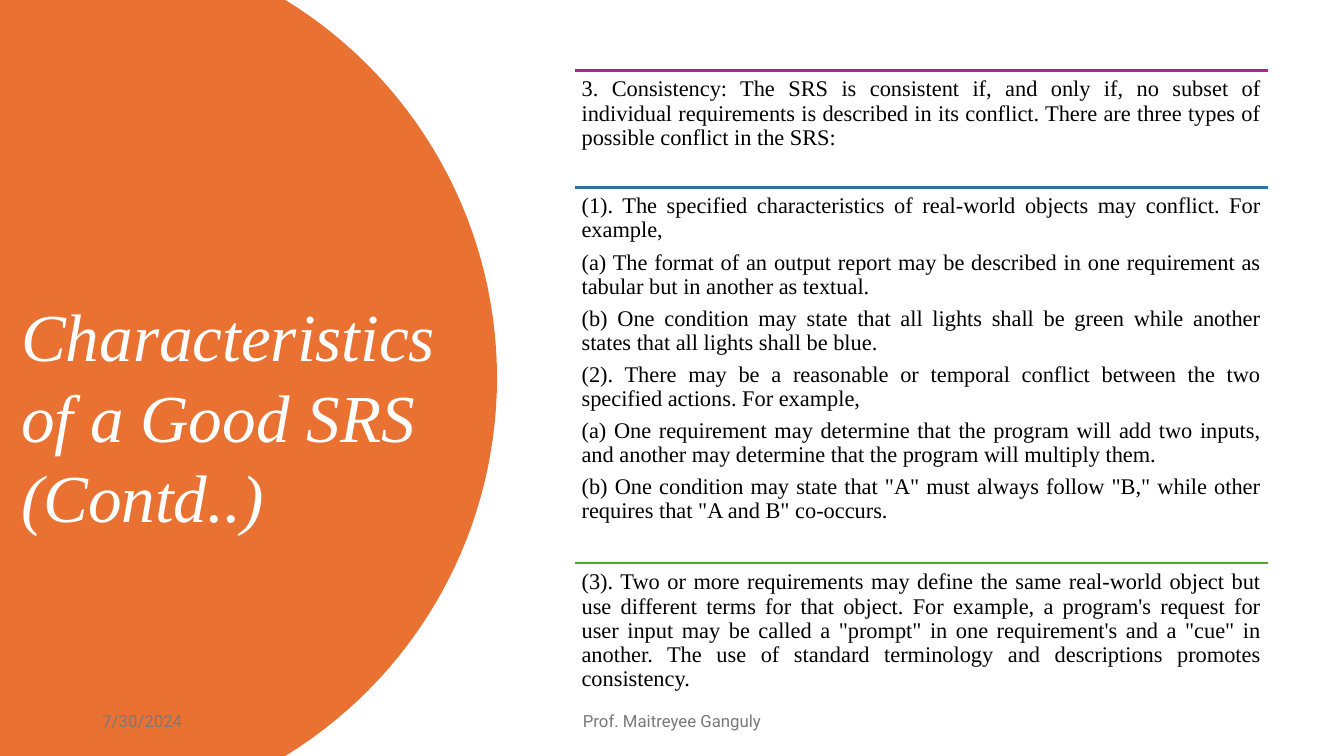
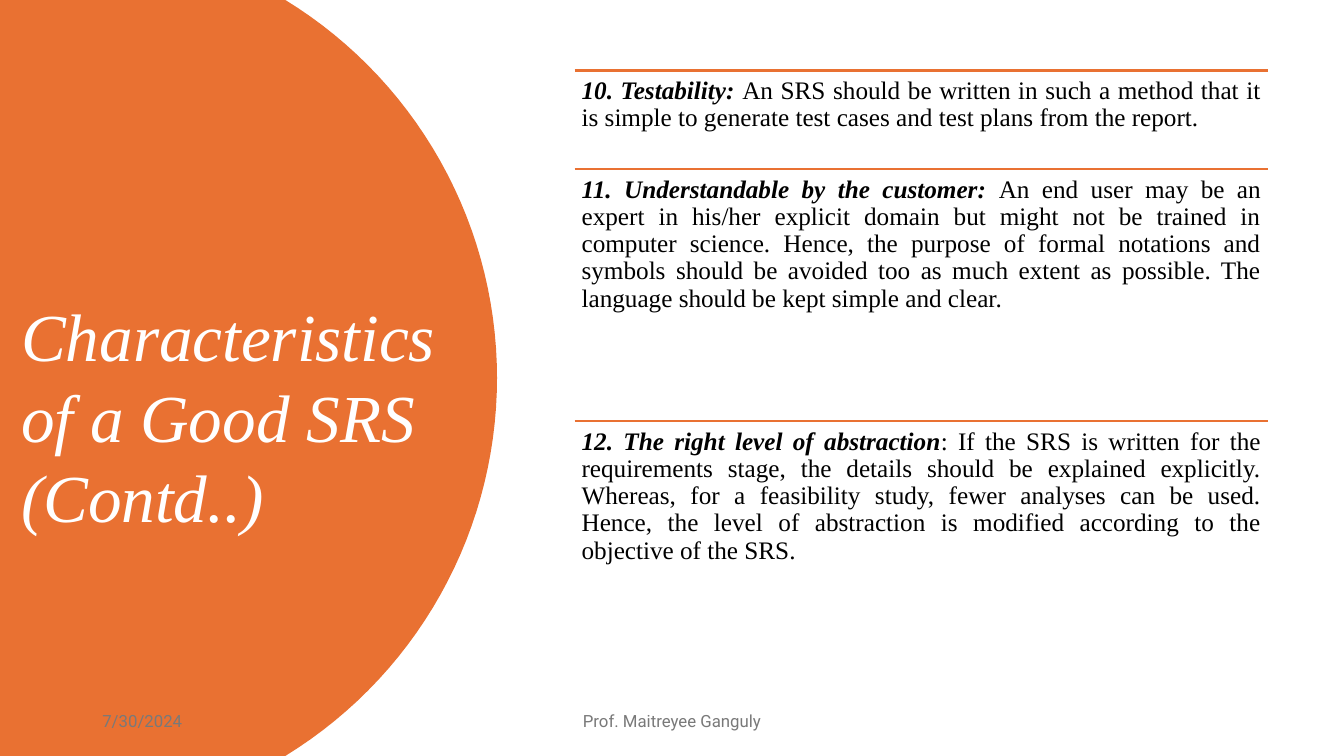
from math import asin, cos, sin

from lxml.etree import SubElement
from pptx import Presentation
from pptx.dml.color import RGBColor
from pptx.enum.shapes import MSO_CONNECTOR
from pptx.enum.text import MSO_ANCHOR, PP_ALIGN
from pptx.oxml.ns import qn
from pptx.util import Inches, Pt

# Shared look
WIDTH, HEIGHT = Inches(13.33), Inches(7.5)
ORANGE = RGBColor(0xE9, 0x71, 0x32)
PURPLE = RGBColor(0xA0, 0x2B, 0x93)
BLUE = RGBColor(0x2C, 0x71, 0xA4)
GREEN = RGBColor(0x4E, 0xA7, 0x2E)
BLACK = RGBColor(0, 0, 0)
WHITE = RGBColor(255, 255, 255)
GREY = RGBColor(0x79, 0x79, 0x79)
SERIF, SANS = "Times New Roman", "Roboto"

# Shares of the slide, in percent
SECTION_LEFT, SECTION_WIDTH, SECTIONS_TOP = 42.75, 51.6, 9.33
TITLE_AREA = (0.83, 38.27, 33.45, 37.73)
DATE_AREA = (6.88, 92.67, 22.5, 5.33)
FOOTER_AREA = (33.13, 92.67, 33.75, 5.33)

TITLE = ["Characteristics of a Good SRS", "(Contd..)"]
DATE, FOOTER = "7/30/2024", "Prof. Maitreyee Ganguly"

# Sections: rule colour, height in percent, paragraphs of (bold lead, text)
CONSISTENCY = [
    (PURPLE, 15.47, [
        ("", "3. Consistency: The SRS is consistent if, and only if, no subset of "
             "individual requirements is described in its conflict. There are three "
             "types of possible conflict in the SRS:")]),
    (BLUE, 49.73, [
        ("", "(1). The specified characteristics of real-world objects may conflict. "
             "For example,"),
        ("", "(a) The format of an output report may be described in one requirement "
             "as tabular but in another as textual."),
        ("", "(b) One condition may state that all lights shall be green while "
             "another states that all lights shall be blue."),
        ("", "(2). There may be a reasonable or temporal conflict between the two "
             "specified actions. For example,"),
        ("", "(a) One requirement may determine that the program will add two inputs, "
             "and another may determine that the program will multiply them."),
        ("", '(b) One condition may state that "A" must always follow "B," while '
             'other requires that "A and B" co-occurs.')]),
    (GREEN, 15.47, [
        ("", "(3). Two or more requirements may define the same real-world object but "
             "use different terms for that object. For example, a program's request "
             'for user input may be called a "prompt" in one requirement\'s and a '
             '"cue" in another. The use of standard terminology and descriptions '
             "promotes consistency.")]),
]
QUALITIES = [
    (ORANGE, 13.07, [
        ("10. Testability: ",
         "An SRS should be written in such a method that it is simple to generate "
         "test cases and test plans from the report.")]),
    (ORANGE, 33.33, [
        ("11. Understandable by the customer: ",
         "An end user may be an expert in his/her explicit domain but might not be "
         "trained in computer science. Hence, the purpose of formal notations and "
         "symbols should be avoided too as much extent as possible. The language "
         "should be kept simple and clear.")]),
    (ORANGE, 26.13, [
        ("12. The right level of abstraction",
         ": If the SRS is written for the requirements stage, the details should be "
         "explained explicitly. Whereas, for a feasibility study, fewer analyses can "
         "be used. Hence, the level of abstraction is modified according to the "
         "objective of the SRS.")]),
]


def across(percent):
    return round(WIDTH * percent / 100)


def down(percent):
    return round(HEIGHT * percent / 100)


def add_frame(slide, area, inset=None, anchor=MSO_ANCHOR.TOP):
    left, top, width, height = area
    frame = slide.shapes.add_textbox(
        across(left), down(top), across(width), down(height)).text_frame
    frame.word_wrap = True
    frame.vertical_anchor = anchor
    if inset is not None:
        frame.margin_left = frame.margin_right = inset
        frame.margin_top = frame.margin_bottom = inset
    return frame


def next_paragraph(frame, index, align=PP_ALIGN.LEFT):
    paragraph = frame.add_paragraph() if index else frame.paragraphs[0]
    paragraph.alignment = align
    return paragraph


def add_run(paragraph, text, size, color, face=SERIF, bold=False, italic=False):
    run = paragraph.add_run()
    run.text = text
    font = run.font
    font.name, font.size, font.bold, font.italic = face, Pt(size), bold, italic
    font.color.rgb = color


def add_title_disc(slide):
    """Part of a circle that runs off the left, top and bottom edges."""
    right_edge, chord_edge, half = Inches(4.93), Inches(2.83), HEIGHT / 2
    depth = right_edge - chord_edge
    radius = (depth ** 2 + half ** 2) / (2 * depth)
    sweep, steps = asin(half / radius), 60
    angles = [sweep * (2 * step / steps - 1) for step in range(steps + 1)]
    arc = [(round(right_edge - radius + radius * cos(angle)),
            round(half + radius * sin(angle))) for angle in angles]
    outline = slide.shapes.build_freeform(0, 0)
    outline.add_line_segments(arc + [(0, HEIGHT)], close=True)
    disc = outline.convert_to_shape()
    disc.shadow.inherit = False
    disc.fill.solid()
    disc.fill.fore_color.rgb = ORANGE
    disc.line.fill.background()


def add_rule(slide, top, color):
    rule = slide.shapes.add_connector(
        MSO_CONNECTOR.STRAIGHT, across(SECTION_LEFT), down(top),
        across(SECTION_LEFT + SECTION_WIDTH), down(top))
    rule.line.color.rgb = color
    rule.line.width = Pt(1.5)
    SubElement(rule.element.spPr, qn("a:effectLst"))


def add_sections(slide, sections, size):
    top = SECTIONS_TOP
    for color, height, paragraphs in sections:
        add_rule(slide, top, color)
        frame = add_frame(slide, (SECTION_LEFT, top, SECTION_WIDTH, height),
                          inset=Inches(0.07))
        for index, (lead, text) in enumerate(paragraphs):
            paragraph = next_paragraph(frame, index, PP_ALIGN.JUSTIFY)
            paragraph.line_spacing = 0.9
            paragraph.space_after = Pt(0.35 * size)
            if lead:
                add_run(paragraph, lead, size, BLACK, bold=True, italic=True)
            add_run(paragraph, text, size, BLACK)
        top += height


def add_title(slide):
    frame = add_frame(slide, TITLE_AREA)
    for index, line in enumerate(TITLE):
        add_run(next_paragraph(frame, index), line, 48, WHITE, italic=True)


def add_footer(slide, area, text, align):
    frame = add_frame(slide, area, anchor=MSO_ANCHOR.MIDDLE)
    add_run(next_paragraph(frame, 0, align), text, 12, GREY, face=SANS)


def add_characteristics_slide(deck, sections, size):
    slide = deck.slides.add_slide(deck.slide_layouts[6])
    add_title_disc(slide)
    add_sections(slide, sections, size)
    add_title(slide)
    add_footer(slide, DATE_AREA, DATE, PP_ALIGN.LEFT)
    add_footer(slide, FOOTER_AREA, FOOTER, PP_ALIGN.CENTER)


def main():
    deck = Presentation()
    deck.slide_width, deck.slide_height = WIDTH, HEIGHT
    add_characteristics_slide(deck, CONSISTENCY, size=16)
    add_characteristics_slide(deck, QUALITIES, size=18)
    deck.save("out.pptx")


if __name__ == "__main__":
    main()
